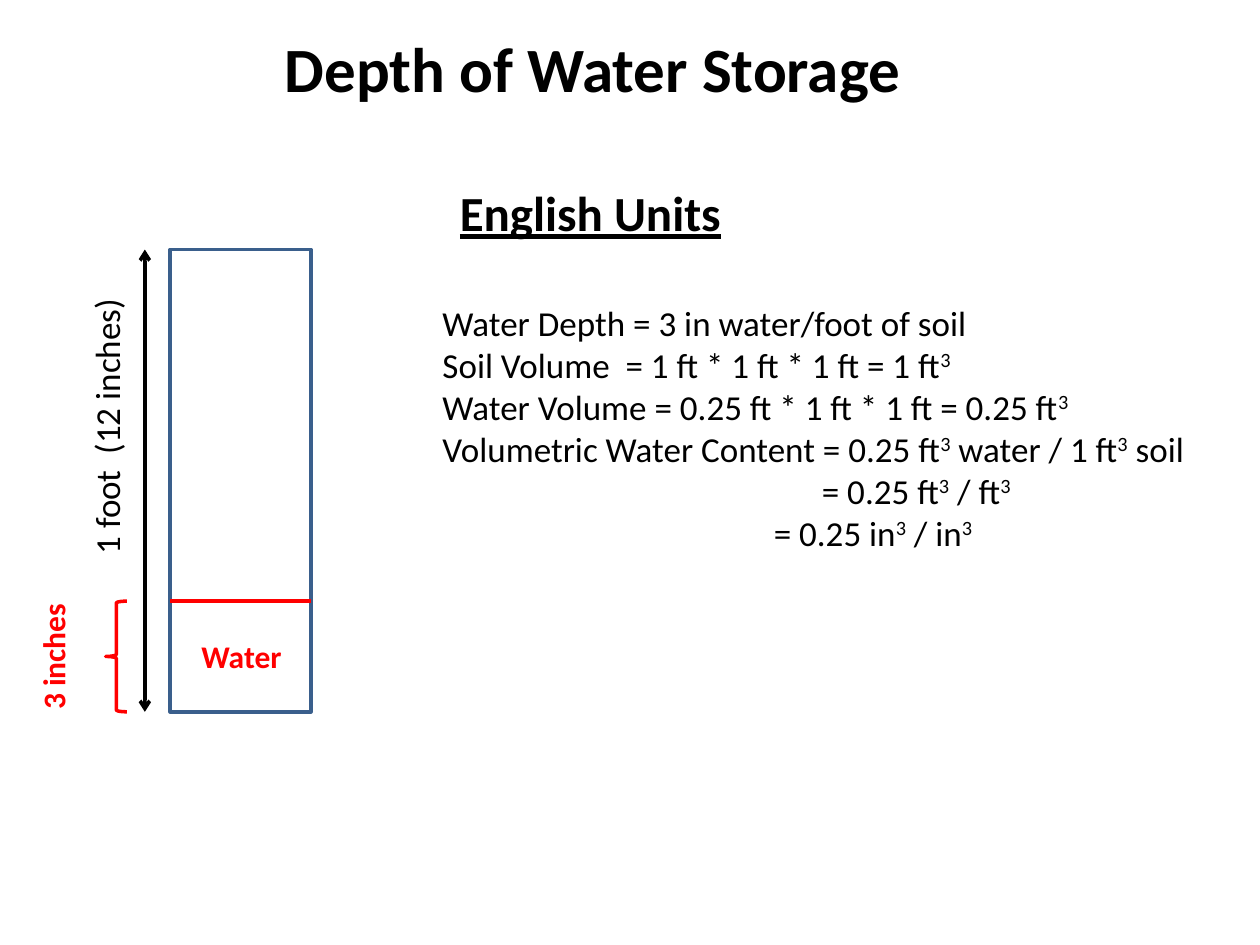
from lxml.etree import SubElement
from pptx import Presentation
from pptx.dml.color import RGBColor
from pptx.enum.shapes import MSO_CONNECTOR as Connector, MSO_SHAPE as Shape
from pptx.oxml.ns import qn
from pptx.util import Cm, Pt

COLORS = {"text": "000000", "water": "FF0000", "soil": "3A5F8C"}
FONT = "Calibri"

# Soil column, in centimetres
LEFT, TOP, RIGHT, BOTTOM = 3.43, 5.03, 6.27, 14.35
WATER_TOP = 12.12

# Each line is (text, indent in cm); ^ switches superscript on and off
CALCULATIONS = [
    ("Water Depth = 3 in water/foot of soil", 0),
    ("Soil Volume  = 1 ft * 1 ft * 1 ft = 1 ft^3^", 0),
    ("Water Volume = 0.25 ft * 1 ft * 1 ft = 0.25 ft^3^", 0),
    ("Volumetric Water Content = 0.25 ft^3^ water / 1 ft^3^ soil", 0),
    ("= 0.25 ft^3^ / ft^3^", 7.65),
    ("= 0.25 in^3^ / in^3^", 6.68),
]


def rgb(name):
    return RGBColor.from_string(COLORS[name])


def add_text(page, lines, left, top, width, height, *, size=20, color="text",
             bold=False, underline=False, rotation=0):
    """Add a text box holding one paragraph per (text, indent) pair."""
    box = page.shapes.add_textbox(Cm(left), Cm(top), Cm(width), Cm(height))
    box.rotation = rotation
    frame = box.text_frame
    frame.word_wrap = False
    for index, (text, indent) in enumerate(lines):
        para = frame.add_paragraph() if index else frame.paragraphs[0]
        if indent:
            para._p.get_or_add_pPr().set("marL", str(Cm(indent)))
        for part, words in enumerate(text.split("^")):
            if not words:
                continue
            span = para.add_run()
            span.text = words
            font = span.font
            font.name, font.size = FONT, Pt(size)
            font.bold, font.underline = bold, underline
            font.color.rgb = rgb(color)
            if part % 2:
                span._r.get_or_add_rPr().set("baseline", "30000")


def add_outline(page, kind, left, top, right, bottom, color):
    shape = page.shapes.add_shape(kind, Cm(left), Cm(top),
                                  Cm(right - left), Cm(bottom - top))
    shape.shadow.inherit = False
    shape.fill.background()
    shape.line.color.rgb = rgb(color)
    shape.line.width = Pt(2)


def add_line(page, x1, y1, x2, y2, *, color="text", width=2, arrows=False):
    line = page.shapes.add_connector(Connector.STRAIGHT, Cm(x1), Cm(y1), Cm(x2), Cm(y2))
    line.line.color.rgb = rgb(color)
    line.line.width = Pt(width)
    if arrows:
        for end in ("a:headEnd", "a:tailEnd"):
            SubElement(line.line._get_or_add_ln(), qn(end), type="arrow")
    SubElement(line._element.spPr, qn("a:effectLst"))


def add_soil_column(page):
    add_outline(page, Shape.RECTANGLE, LEFT, TOP, RIGHT, BOTTOM, "soil")
    add_line(page, LEFT, WATER_TOP, RIGHT, WATER_TOP, color="water", width=2.25)
    add_outline(page, Shape.LEFT_BRACE, 2.13, WATER_TOP, 2.56, BOTTOM, "water")
    add_line(page, 2.92, TOP, 2.92, BOTTOM, arrows=True)
    add_text(page, [("1 foot  (12 inches)", 0)], -0.71, 8.01, 5.72, 1.12, rotation=270)
    water_label = dict(size=18, color="water", bold=True)
    add_text(page, [("3 inches", 0)], -0.35, 12.63, 2.84, 1.02, rotation=270, **water_label)
    add_text(page, [("Water", 0)], 3.81, 12.71, 2.13, 1.02, **water_label)


def main():
    deck = Presentation()
    deck.slide_width, deck.slide_height = Cm(25.4), Cm(19.05)
    page = deck.slides.add_slide(deck.slide_layouts[6])
    add_text(page, [("Depth of Water Storage", 0)], 5.49, 0.48, 13.06, 1.8,
             size=36, bold=True)
    add_soil_column(page)
    add_text(page, [("English Units", 0)], 9.02, 3.56, 5.82, 1.45,
             size=28, bold=True, underline=True)
    add_text(page, CALCULATIONS, 8.67, 5.95, 15.85, 5.38)
    deck.save("out.pptx")


if __name__ == "__main__":
    main()
